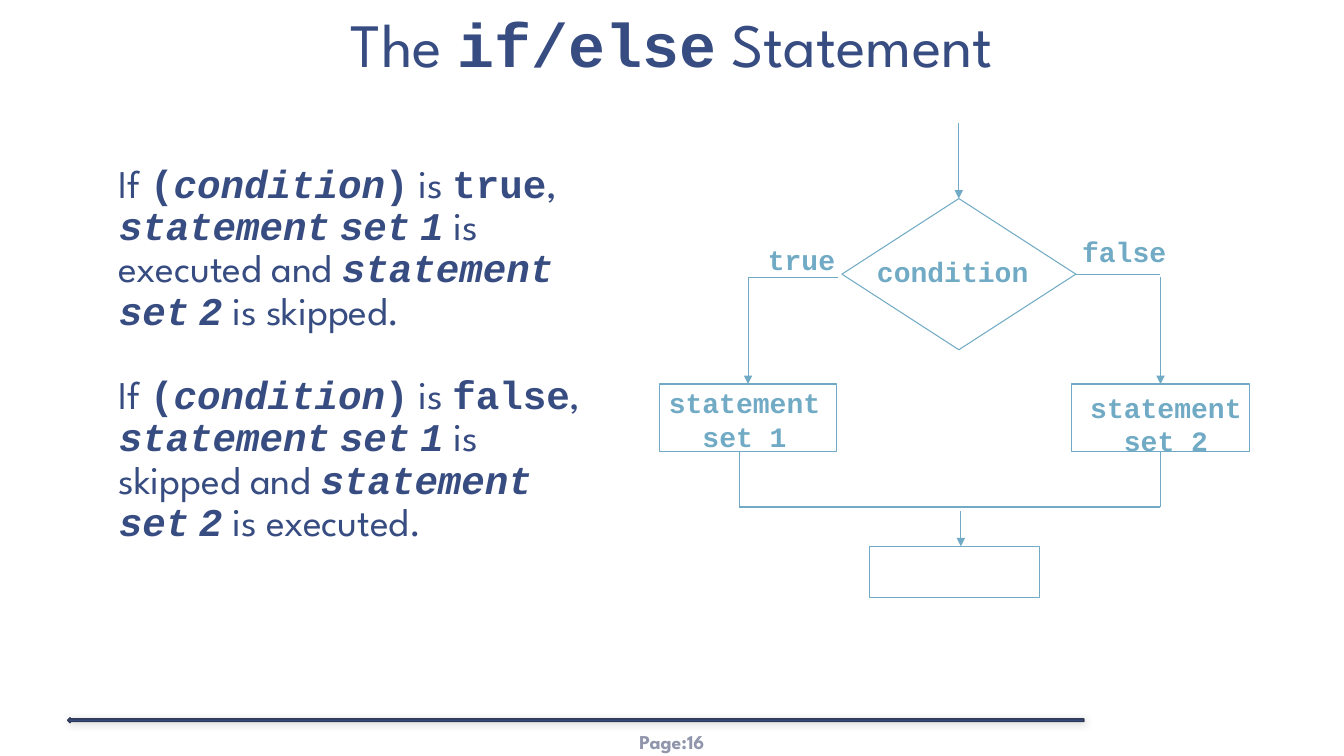
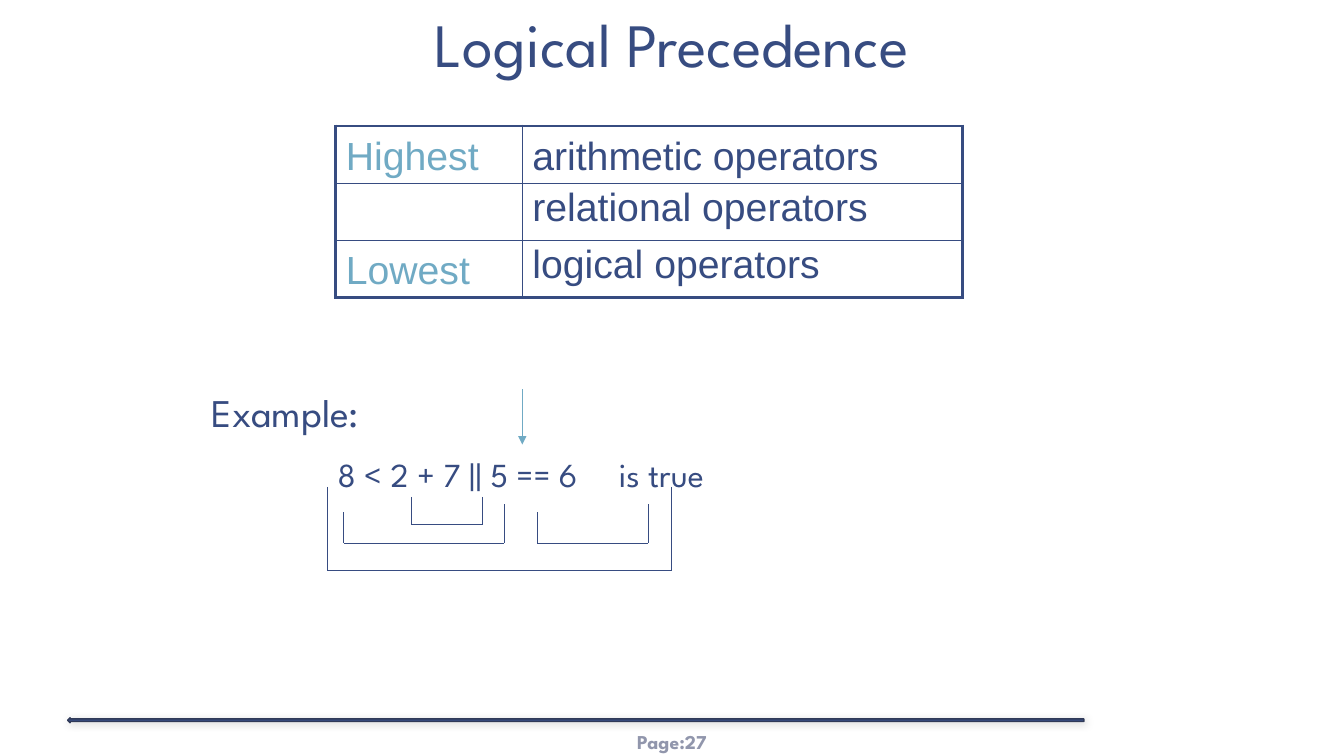
from dataclasses import dataclass
from typing import NamedTuple

from lxml import etree
from pptx import Presentation
from pptx.dml.color import RGBColor
from pptx.enum.shapes import MSO_CONNECTOR, MSO_SHAPE
from pptx.enum.text import MSO_ANCHOR, PP_ALIGN
from pptx.oxml.ns import qn
from pptx.util import Inches, Pt

STRAIGHT = MSO_CONNECTOR.STRAIGHT
DECISION = MSO_SHAPE.FLOWCHART_DECISION
PROCESS = MSO_SHAPE.FLOWCHART_PROCESS
RECTANGLE = MSO_SHAPE.RECTANGLE
LEFT_ARROW = MSO_SHAPE.LEFT_ARROW
TOP, MIDDLE, BOTTOM = MSO_ANCHOR.TOP, MSO_ANCHOR.MIDDLE, MSO_ANCHOR.BOTTOM
LEFT, CENTER = PP_ALIGN.LEFT, PP_ALIGN.CENTER
SIDE_TOP, SIDE_BOTTOM, SIDE_RIGHT = 0, 2, 3


@dataclass(frozen=True)
class Theme:
    navy: str = "374C81"
    sky: str = "70AAC4"
    bar_edge: str = "303A58"
    footer: str = "9196AC"
    font: str = "League Spartan"
    code_font: str = "Courier New"
    table_font: str = "Arial"
    title_size: float = 44
    body_size: float = 28
    example_size: float = 24
    label_size: float = 20
    footer_size: float = 14
    thin: float = 0.75
    grid: float = 1
    frame: float = 2.25


THEME = Theme()


class Box(NamedTuple):
    left: float
    top: float
    width: float
    height: float


class Run(NamedTuple):
    text: str
    code: bool = False
    italic: bool = False


class Label(NamedTuple):
    text: str
    box: Box
    wrap: bool = False


class Line(NamedTuple):
    x1: float
    y1: float
    x2: float
    y2: float
    arrow: bool = False


class Bracket(NamedTuple):
    left: float
    right: float
    left_top: float
    right_top: float
    bottom: float


def lengths(box: Box) -> list:
    return [Inches(value) for value in box]


def fill_text(text_frame, paragraphs: list, *, size: float, color: str = THEME.navy,
              font: str = THEME.font, bold: bool = False, align=LEFT,
              spacing: float = 1.0, gap: float = 0) -> None:
    for index, runs in enumerate(paragraphs):
        paragraph = text_frame.paragraphs[0] if index == 0 else text_frame.add_paragraph()
        paragraph.alignment = align
        paragraph.line_spacing = spacing
        paragraph.space_before = Pt(gap if index else 0)
        for part in runs:
            run = paragraph.add_run()
            run.text = part.text
            run.font.name = THEME.code_font if part.code else font
            run.font.size = Pt(size)
            run.font.bold = bold or part.code
            run.font.italic = part.italic
            run.font.color.rgb = RGBColor.from_string(color)


def add_text(slide, box: Box, paragraphs: list, *, anchor=TOP, wrap: bool = True,
             **text_format) -> None:
    text_frame = slide.shapes.add_textbox(*lengths(box)).text_frame
    text_frame.word_wrap = wrap
    text_frame.vertical_anchor = anchor
    fill_text(text_frame, paragraphs, **text_format)


def add_outline(slide, kind, box: Box):
    shape = slide.shapes.add_shape(kind, *lengths(box))
    shape.shadow.inherit = False
    shape.fill.background()
    shape.line.color.rgb = RGBColor.from_string(THEME.sky)
    shape.line.width = Pt(THEME.thin)
    return shape


def add_line(slide, line: Line, color: str):
    points = [Inches(value) for value in line[:4]]
    connector = slide.shapes.add_connector(STRAIGHT, *points)
    connector.line.color.rgb = RGBColor.from_string(color)
    connector.line.width = Pt(THEME.thin)
    properties = connector.element.spPr
    if line.arrow:
        etree.SubElement(properties.find(qn("a:ln")), qn("a:tailEnd"), type="triangle")
    etree.SubElement(properties, qn("a:effectLst"))
    return connector


def add_bracket(slide, bracket: Bracket) -> None:
    left, right, left_top, right_top, bottom = bracket
    for line in (Line(left, left_top, left, bottom), Line(left, bottom, right, bottom),
                 Line(right, right_top, right, bottom)):
        add_line(slide, line, THEME.navy)


def add_footer_bar(slide) -> None:
    bar = slide.shapes.add_shape(LEFT_ARROW, *lengths(Box(0.67, 7.12, 10.08, 0.05)))
    bar.fill.solid()
    bar.fill.fore_color.rgb = RGBColor.from_string(THEME.navy)
    bar.line.color.rgb = RGBColor.from_string(THEME.bar_edge)
    bar.line.width = Pt(1)
    bar.shadow.inherit = False
    effects = bar.element.spPr.find(qn("a:effectLst"))
    shadow = etree.SubElement(effects, qn("a:outerShdw"), blurRad=str(Pt(6)),
                              dist=str(Pt(1)), dir="2700000")
    color = etree.SubElement(shadow, qn("a:srgbClr"), val="000000")
    etree.SubElement(color, qn("a:alpha"), val="20000")


def add_base_slide(presentation, title: list, page: int):
    slide = presentation.slides.add_slide(presentation.slide_layouts[6])
    add_text(slide, Box(5.78, 7.2, 1.77, 0.32), [[Run(f"Page:{page}")]], anchor=MIDDLE,
             size=THEME.footer_size, color=THEME.footer, bold=True, align=CENTER)
    add_footer_bar(slide)
    add_text(slide, Box(0, 0, 13.33, 0.84), [title], anchor=BOTTOM,
             size=THEME.title_size, align=CENTER, spacing=0.85)
    return slide


def statement_set(number: int) -> list:
    return [Run("statement", True, True), Run(" "), Run("set", True, True), Run(" "),
            Run(str(number), True, True)]


def outcome(value: str, first: str, second: str) -> list:
    return [Run("If "), Run("(", True), Run("condition", True, True), Run(")", True),
            Run(" is "), Run(value, True), Run(", "), *statement_set(1),
            Run(f" is {first} and "), *statement_set(2), Run(f" is {second}.")]


def add_flowchart(slide) -> None:
    decision = add_outline(slide, DECISION, Box(8.35, 1.97, 2.32, 1.5))
    first, second = [add_outline(slide, PROCESS, Box(left, 3.81, 1.76, 0.67))
                     for left in (6.54, 10.63)]
    add_outline(slide, RECTANGLE, Box(8.62, 5.42, 1.69, 0.51))

    labels = (
        Label("condition", Box(8.5, 2.48, 1.9, 0.43)),
        Label("true", Box(7.4, 2.36, 1.1, 0.43)),
        Label("false", Box(10.5, 2.28, 1.3, 0.43)),
        Label("statement set 1", Box(6.5, 3.78, 1.77, 0.77), True),
        Label("statement set 2", Box(10.68, 3.82, 1.77, 0.77), True),
    )
    for label in labels:
        add_text(slide, label.box, [[Run(label.text, True)]], wrap=label.wrap,
                 size=THEME.label_size, color=THEME.sky, align=CENTER)

    for line, target in ((Line(9.51, 1.22, 9.51, 1.97, True), decision),
                         (Line(7.42, 2.75, 7.42, 3.81, True), first),
                         (Line(11.51, 2.75, 11.51, 3.81, True), second)):
        add_line(slide, line, THEME.sky).end_connect(target, SIDE_TOP)
    for line, source, side in ((Line(10.67, 2.72, 11.51, 2.72), decision, SIDE_RIGHT),
                               (Line(11.51, 4.48, 11.51, 5.03), second, SIDE_BOTTOM)):
        add_line(slide, line, THEME.sky).begin_connect(source, side)
    for line in (Line(8.31, 2.75, 7.42, 2.75), Line(7.33, 4.48, 7.33, 5.03),
                 Line(7.33, 5.03, 11.51, 5.03), Line(9.53, 5.07, 9.53, 5.42, True)):
        add_line(slide, line, THEME.sky)


def set_borders(cell, widths: dict) -> None:
    properties = cell._tc.get_or_add_tcPr()
    for index, (side, width) in enumerate(widths.items()):
        border = etree.Element(qn(f"a:ln{side}"), w=str(Pt(width)))
        fill = etree.SubElement(border, qn("a:solidFill"))
        etree.SubElement(fill, qn("a:srgbClr"), val=THEME.navy)
        properties.insert(index, border)


def add_precedence_table(slide) -> None:
    rows = (("Highest", "arithmetic operators"), ("", "relational operators"),
            ("Lowest", "logical operators"))
    table = slide.shapes.add_table(3, 2, *lengths(Box(3.33, 1.25, 6.22, 1.7))).table
    table.first_row = False
    table.horz_banding = False
    for column, width in zip(table.columns, (1.85, 4.37)):
        column.width = Inches(width)
    for row_index, row in enumerate(rows):
        for column_index, text in enumerate(row):
            cell = table.cell(row_index, column_index)
            cell.fill.background()
            cell.margin_bottom = 0
            tight = row_index > 0 and column_index == 1
            cell.margin_top = Inches(0.07 if tight else 0.09)
            if text:
                fill_text(cell.text_frame, [[Run(text)]], size=THEME.body_size,
                          font=THEME.table_font, spacing=0.9 if tight else 1.0,
                          color=THEME.navy if column_index else THEME.sky)
            outer = {"L": column_index == 0, "R": column_index == 1,
                     "T": row_index == 0, "B": row_index == len(rows) - 1}
            set_borders(cell, {side: THEME.frame if edge else THEME.grid
                               for side, edge in outer.items()})


def build_if_else(presentation) -> None:
    title = [Run("The "), Run("if/else", True), Run(" Statement")]
    slide = add_base_slide(presentation, title, 16)
    add_text(slide, Box(1.08, 1.58, 4.92, 4.34),
             [outcome("true", "executed", "skipped"),
              outcome("false", "skipped", "executed")],
             size=THEME.body_size, spacing=0.9, gap=30)
    add_flowchart(slide)


def build_precedence(presentation) -> None:
    slide = add_base_slide(presentation, [Run("Logical Precedence")], 27)
    add_precedence_table(slide)
    add_text(slide, Box(2, 3.86, 3, 0.55), [[Run("Example:")]],
             size=THEME.body_size, spacing=0.9)
    for text, left in (("8 < 2 + 7 || 5 == 6", 3.25), ("is true", 6.04)):
        add_text(slide, Box(left, 4.45, 2.7, 0.5), [[Run(text)]], size=THEME.example_size)
    add_line(slide, Line(5.18, 3.86, 5.18, 4.41, True), THEME.sky)
    for bracket in (Bracket(4.08, 4.79, 4.93, 4.93, 5.2),
                    Bracket(5.33, 6.43, 5.08, 5, 5.39),
                    Bracket(3.25, 6.66, 4.83, 4.83, 5.66),
                    Bracket(3.41, 5, 5.08, 5, 5.39)):
        add_bracket(slide, bracket)


def main() -> None:
    presentation = Presentation()
    presentation.slide_width = Inches(13.33)
    presentation.slide_height = Inches(7.5)
    build_if_else(presentation)
    build_precedence(presentation)
    presentation.save("out.pptx")


if __name__ == "__main__":
    main()
